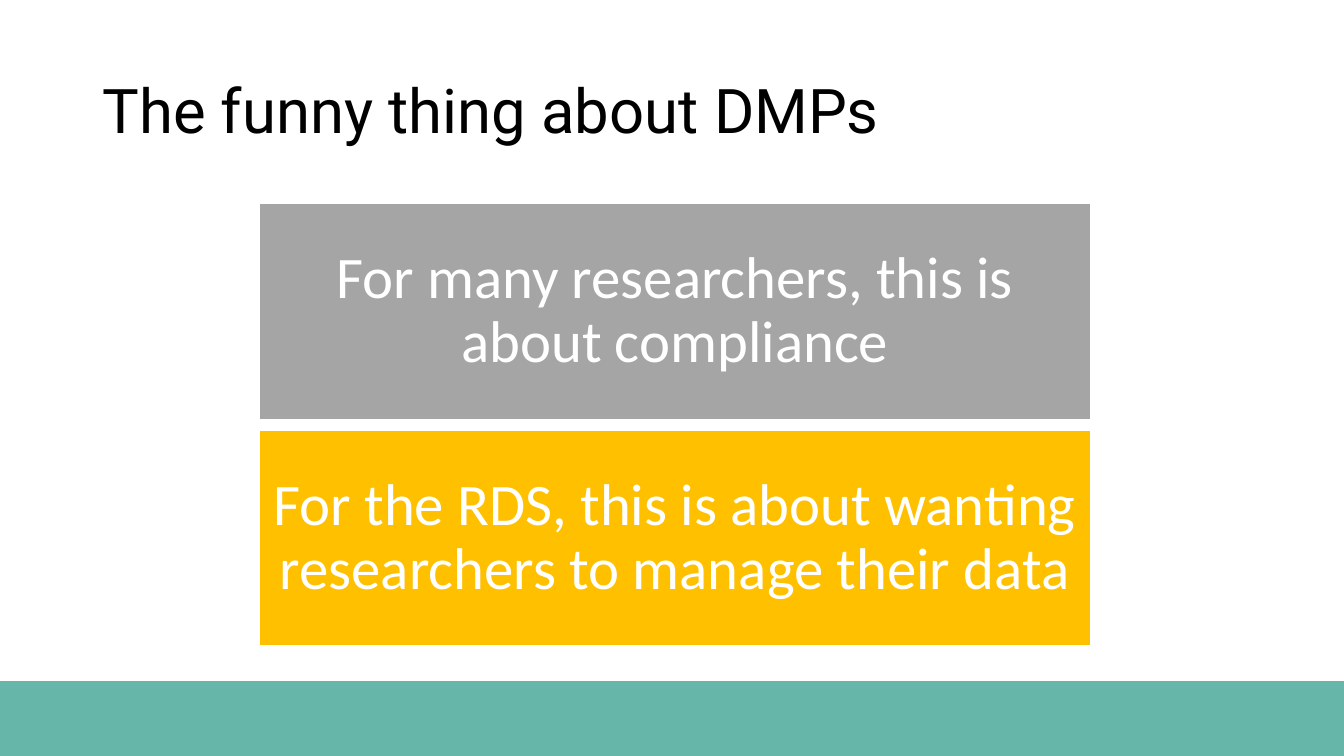
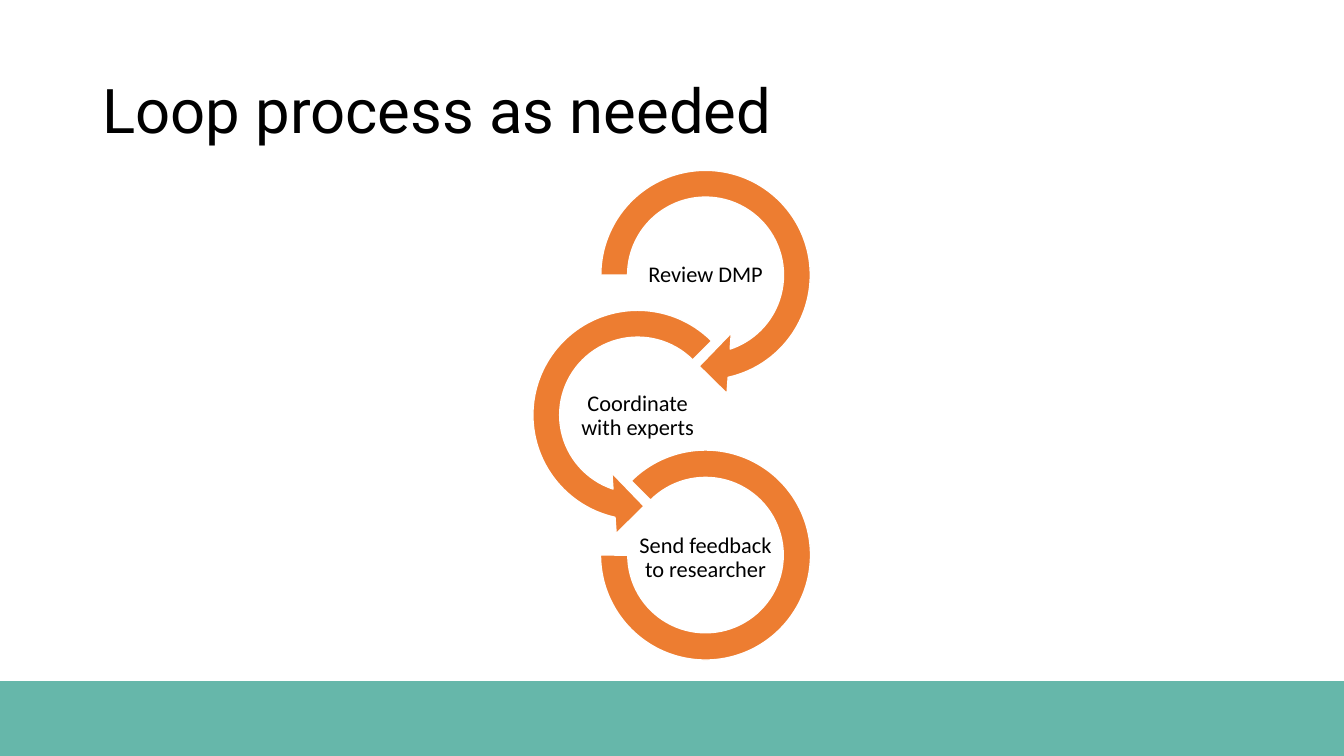
from dataclasses import dataclass

from lxml.etree import SubElement
from pptx import Presentation
from pptx.dml.color import RGBColor
from pptx.enum.shapes import MSO_SHAPE as Preset
from pptx.enum.text import MSO_ANCHOR as Anchor, MSO_AUTO_SIZE as AutoSize, PP_ALIGN as Align
from pptx.oxml.ns import qn
from pptx.util import Pt


@dataclass(frozen=True)
class Theme:
    black: str = "000000"
    white: str = "FFFFFF"
    band: str = "319F8D"
    band_alpha: int = 74
    gray: str = "A5A5A5"
    gold: str = "FFC000"
    orange: str = "ED7D31"
    title_font: str = "Roboto"
    body_font: str = "Calibri"
    title_size: int = 44
    box_size: int = 42
    label_size: int = 16
    line_spacing: float = 0.9


class Deck:
    def __init__(self, theme, width, height):
        self.theme = theme
        self.width, self.height = width, height
        self.presentation = Presentation()
        self.presentation.slide_width = Pt(width)
        self.presentation.slide_height = Pt(height)
        self.slide = None

    def add_slide(self, title):
        layout = self.presentation.slide_layouts.get_by_name("Title Only")
        self.slide = self.presentation.slides.add_slide(layout)
        self.add_band()
        placeholder = self.slide.shapes.title
        placeholder.left, placeholder.top = Pt(66), Pt(29)
        placeholder.width, placeholder.height = Pt(828), Pt(104)
        self.set_text(placeholder, title, self.theme.title_font, self.theme.title_size,
                      self.theme.black, Align.LEFT)

    def add_band(self):
        top = 486.5
        band = self.add_shape(Preset.RECTANGLE, 0, top, self.width, self.height - top,
                              self.theme.band)
        color = band.element.spPr.find(qn("a:solidFill"))[0]
        SubElement(color, qn("a:alpha"), val=str(self.theme.band_alpha * 1000))

    def add_shape(self, preset, left, top, width, height, fill, outlined=False):
        shape = self.slide.shapes.add_shape(preset, Pt(left), Pt(top), Pt(width), Pt(height))
        shape.shadow.inherit = False
        shape.fill.solid()
        shape.fill.fore_color.rgb = RGBColor.from_string(fill)
        if outlined:
            shape.line.color.rgb = RGBColor.from_string(self.theme.white)
            shape.line.width = Pt(1)
        else:
            shape.line.fill.background()
        return shape

    def add_box(self, text, left, top, width, height, fill):
        box = self.add_shape(Preset.RECTANGLE, left, top, width, height, fill, outlined=True)
        self.set_text(box, text, self.theme.body_font, self.theme.box_size,
                      self.theme.white, Align.CENTER, margin=8.4)

    def add_ring(self, preset, center_x, center_y, size, adjustments):
        ring = self.add_shape(preset, center_x - size / 2, center_y - size / 2, size, size,
                              self.theme.orange, outlined=True)
        for index, value in enumerate(adjustments):
            ring.adjustments[index] = value

    def add_label(self, text, center_x, center_y):
        width, height = 97, 48
        label = self.slide.shapes.add_textbox(Pt(center_x - width / 2), Pt(center_y - height / 2),
                                              Pt(width), Pt(height))
        self.set_text(label, text, self.theme.body_font, self.theme.label_size,
                      self.theme.black, Align.CENTER, margin=0.72)

    def set_text(self, shape, text, font_name, size, color, alignment, margin=None):
        frame = shape.text_frame
        frame.text = text
        frame.word_wrap = True
        frame.auto_size = AutoSize.NONE
        frame.vertical_anchor = Anchor.MIDDLE
        if margin is not None:
            frame.margin_left = frame.margin_right = Pt(margin)
            frame.margin_top = frame.margin_bottom = Pt(margin)
        for paragraph in frame.paragraphs:
            paragraph.alignment = alignment
            paragraph.line_spacing = self.theme.line_spacing
            for run in paragraph.runs:
                run.font.name = font_name
                run.font.size = Pt(size)
                run.font.color.rgb = RGBColor.from_string(color)


theme = Theme()
deck = Deck(theme, 960, 540)

deck.add_slide("The funny thing about DMPs")
viewpoints = [
    ("For many researchers, this is about compliance", theme.gray),
    ("For the RDS, this is about wanting researchers to manage their data", theme.gold),
]
for row, (text, fill) in enumerate(viewpoints):
    deck.add_box(text, 185, 145.5 + row * 162, 594, 154, fill)

deck.add_slide("Loop process as needed")
steps = [
    ("Review DMP", Preset.CIRCULAR_ARROW, 504, 174, (0.11, 11.42, 45, 108, 1 / 8)),
    ("Coordinate with experts", Preset.LEFT_CIRCULAR_ARROW, 455.5, 174,
     (0.11, 11.42, 63, 189, 1 / 8)),
    ("Send feedback to researcher", Preset.BLOCK_ARC, 504, 150, (135, 108, 0.13)),
]
for row, (text, preset, center_x, size, adjustments) in enumerate(steps):
    deck.add_ring(preset, center_x, 196.5 + row * 100, size, adjustments)
    deck.add_label(text, center_x, 196.5 + row * 101)

deck.presentation.save("out.pptx")
